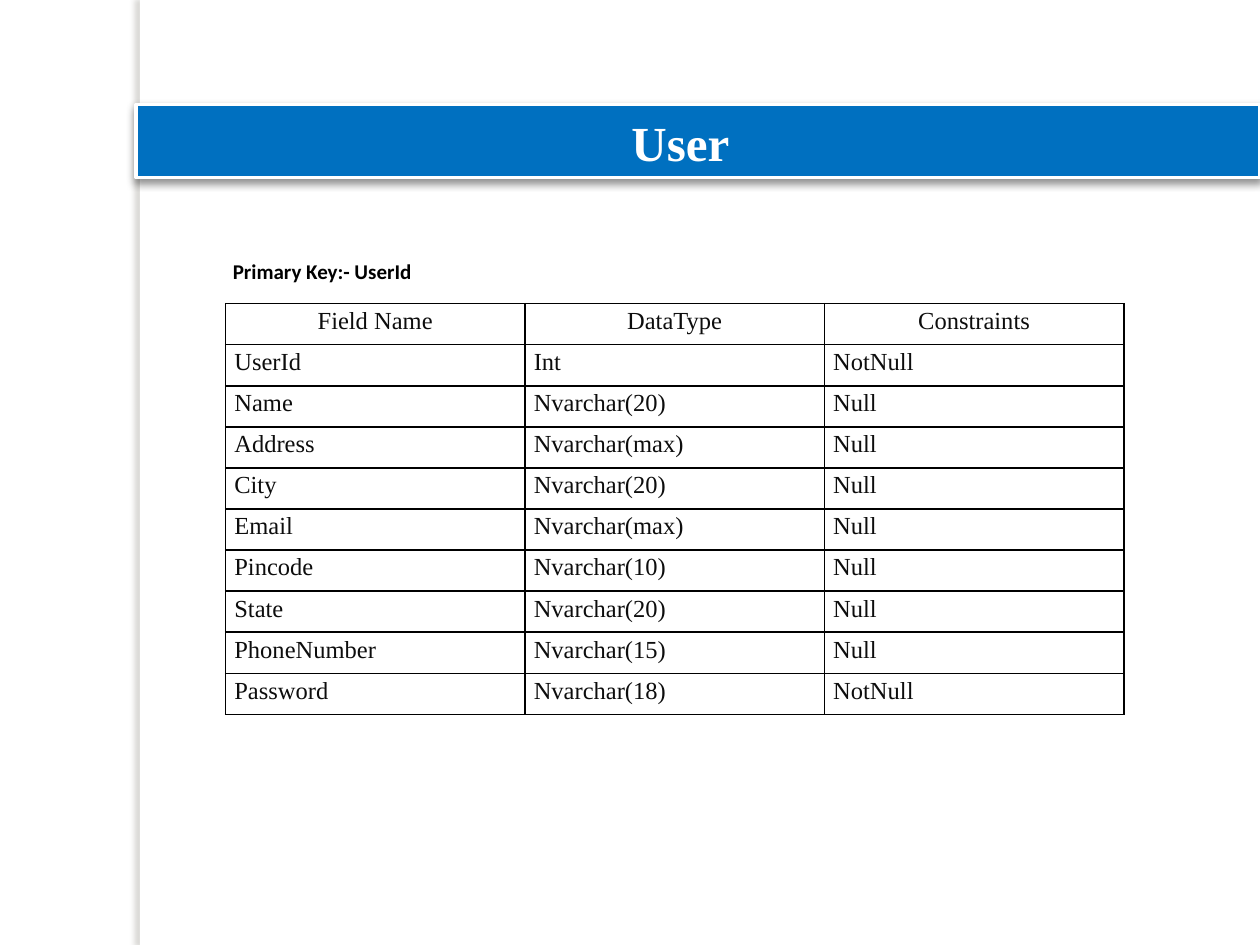
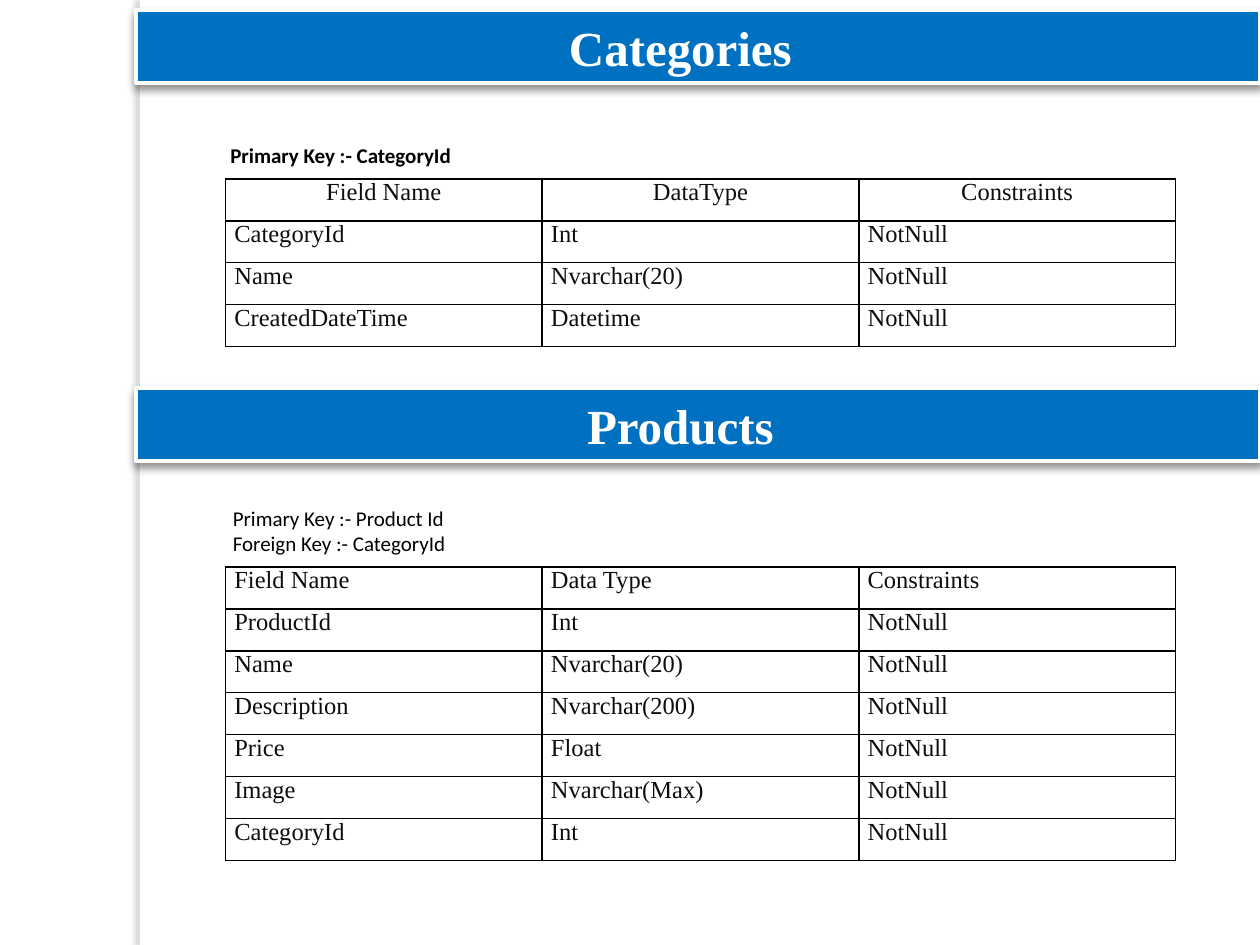
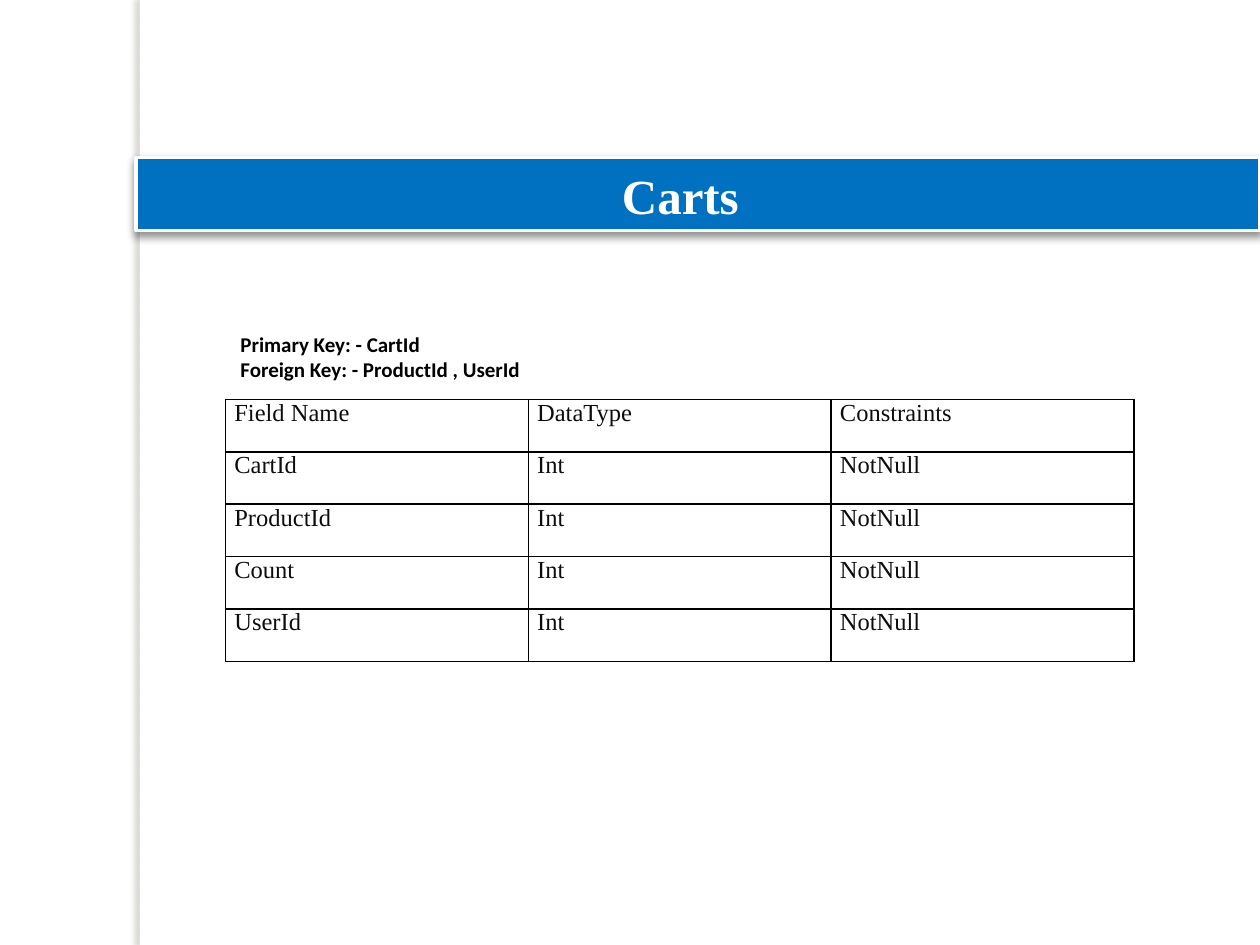
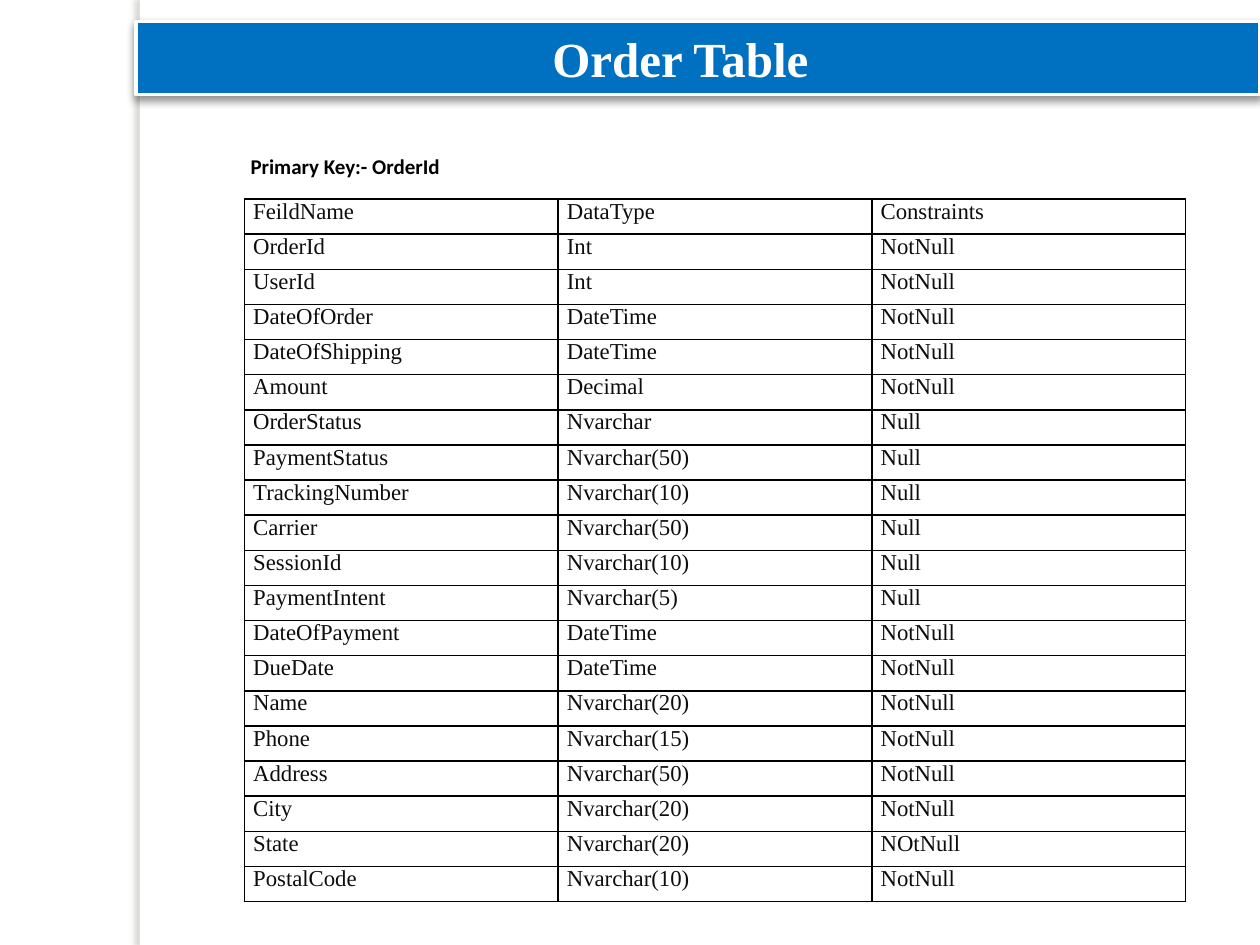
from lxml.etree import SubElement as Sub
from pptx import Presentation
from pptx.dml.color import RGBColor
from pptx.enum.shapes import MSO_SHAPE as Form
from pptx.enum.text import MSO_ANCHOR as Anchor, MSO_AUTO_SIZE as Fit, PP_ALIGN as Align
from pptx.oxml.ns import qn
from pptx.util import Inches, Pt

# Colours and fonts
WHITE = RGBColor(0xFF, 0xFF, 0xFF)
BLACK = RGBColor(0x00, 0x00, 0x00)
BLUE = RGBColor(0x00, 0x70, 0xC0)
INK = RGBColor(0x0D, 0x0D, 0x0D)
GREY = RGBColor(0x73, 0x6F, 0x63)
SERIF, SANS = "Times New Roman", "Calibri"

# Table contents: one row a line, cells split by commas
USER = """Field Name, DataType, Constraints
UserId, Int, NotNull
Name, Nvarchar(20), Null
Address, Nvarchar(max), Null
City, Nvarchar(20), Null
Email, Nvarchar(max), Null
Pincode, Nvarchar(10), Null
State, Nvarchar(20), Null
PhoneNumber, Nvarchar(15), Null
Password, Nvarchar(18), NotNull"""

GROUPS = """Field Name, DataType, Constraints
CategoryId, Int, NotNull
Name, Nvarchar(20), NotNull
CreatedDateTime, Datetime, NotNull"""

GOODS = """Field Name, Data Type, Constraints
ProductId, Int, NotNull
Name, Nvarchar(20), NotNull
Description, Nvarchar(200), NotNull
Price, Float, NotNull
Image, Nvarchar(Max), NotNull
CategoryId, Int, NotNull"""

CARTS = """Field Name, DataType, Constraints
CartId, Int, NotNull
ProductId, Int, NotNull
Count, Int, NotNull
UserId, Int, NotNull"""

ORDERS = """FeildName, DataType, Constraints
OrderId, Int, NotNull
UserId, Int, NotNull
DateOfOrder, DateTime, NotNull
DateOfShipping, DateTime, NotNull
Amount, Decimal, NotNull
OrderStatus, Nvarchar, Null
PaymentStatus, Nvarchar(50), Null
TrackingNumber, Nvarchar(10), Null
Carrier, Nvarchar(50), Null
SessionId, Nvarchar(10), Null
PaymentIntent, Nvarchar(5), Null
DateOfPayment, DateTime, NotNull
DueDate, DateTime, NotNull
Name, Nvarchar(20), NotNull
Phone, Nvarchar(15), NotNull
Address, Nvarchar(50), NotNull
City, Nvarchar(20), NotNull
State, Nvarchar(20), NOtNull
PostalCode, Nvarchar(10), NotNull"""


def write(frame, text, font=SERIF, size=14, color=INK, bold=False,
          align=Align.LEFT, lead=None, after=None):
    """Fill a text frame, one paragraph a line."""
    for i, line in enumerate(text.split("\n")):
        para = frame.add_paragraph() if i else frame.paragraphs[0]
        para.alignment = align
        if lead:
            para.line_spacing = lead
        if after:
            para.space_after = Pt(after)
        run = para.add_run()
        run.text = line
        run.font.name, run.font.size, run.font.bold = font, Pt(size), bold
        run.font.color.rgb = color


class Deck:
    def __init__(self):
        self.prs = Presentation()
        self.prs.slide_width, self.prs.slide_height = Inches(10), Inches(7.5)
        self.layout = self.prs.slide_layouts[5]
        self.slide = None

    def start(self):
        first = self.slide is None
        self.slide = self.prs.slides.add_slide(self.layout)
        if first:
            # The side rail lives on the layout, behind everything
            rail = self.rect(1.11, 0, 0.08, 7.5, WHITE, (GREY, 25, 3, 3, 180))
            self.layout.shapes.element.insert(2, rail.element)

    def rect(self, x, y, w, h, fill, shade, edge=None):
        box = self.slide.shapes.add_shape(
            Form.RECTANGLE, Inches(x), Inches(y), Inches(w), Inches(h))
        box.fill.solid()
        box.fill.fore_color.rgb = fill
        if edge:
            box.line.color.rgb, box.line.width = edge, Pt(2)
        else:
            box.line.fill.background()
        # Soft outer shadow
        box.shadow.inherit = False
        color, alpha, blur, dist, angle = shade
        glow = Sub(box.element.spPr.find(qn("a:effectLst")), qn("a:outerShdw"),
                   blurRad=str(Pt(blur)), dist=str(Pt(dist)),
                   dir=str(angle * 60000), algn="ctr", rotWithShape="0")
        tint = Sub(glow, qn("a:srgbClr"), val=str(color))
        Sub(tint, qn("a:alpha"), val=str(alpha * 1000))
        return box

    def label(self, box, text, **style):
        frame = box.text_frame
        frame.word_wrap = False
        frame.auto_size = Fit.SHAPE_TO_FIT_TEXT
        frame.vertical_anchor = Anchor.TOP
        write(frame, text, **style)

    def text_box(self, x, y, w, h):
        return self.slide.shapes.add_textbox(
            Inches(x), Inches(y), Inches(w), Inches(h))

    def band(self, text, y, w, main=True):
        """Blue band with a heading centred on it."""
        bar = self.rect(1.08, y, 8.92, 0.58, BLUE, (BLACK, 43, 5, 2, 90), WHITE)
        x, top, h = 5.4 - w / 2, y + 0.01, 0.57
        if main:
            head = self.slide.shapes.title
            head.left, head.top = Inches(x), Inches(top)
            head.width, head.height = Inches(w), Inches(h)
            bar.element.addnext(head.element)
        else:
            head = self.text_box(x, top, w, h)
        self.label(head, text, size=28, color=WHITE, bold=True,
                   align=Align.CENTER)

    def keys(self, text, x, y, w, h=0.5, bold=True):
        self.label(self.text_box(x, y, w, h), text, font=SANS, size=12,
                   color=BLACK, bold=bold)

    def table(self, data, x, y, w, h, head=Align.LEFT, body=Align.LEFT, **style):
        rows = [line.split(", ") for line in data.split("\n")]
        grid = self.slide.shapes.add_table(
            len(rows), len(rows[0]), Inches(x), Inches(y), Inches(w), Inches(h)).table
        grid.first_row = grid.horz_banding = False
        for r, row in enumerate(rows):
            for c, text in enumerate(row):
                cell = grid.cell(r, c)
                cell.margin_left = cell.margin_right = Inches(0.07)
                cell.margin_top = cell.margin_bottom = 0
                self.border(cell)
                cell.fill.background()
                write(cell.text_frame, text, align=body if r else head, **style)

    def border(self, cell):
        props = cell._tc.get_or_add_tcPr()
        for side in "LRTB":
            line = Sub(props, qn("a:ln" + side), w=str(Pt(1)))
            Sub(Sub(line, qn("a:solidFill")), qn("a:srgbClr"), val=str(BLACK))


def main():
    deck = Deck()

    # User
    deck.start()
    deck.table(USER, 1.79, 2.41, 7.13, 3.26, head=Align.CENTER, lead=1.15, after=10)
    deck.band("User", 0.83, 0.99)
    deck.keys("Primary Key:- UserId", 1.75, 2, 1.87)

    # Categories and products
    deck.start()
    deck.band("Categories", 0.08, 1.99)
    deck.band("Products", 3.08, 1.7, main=False)
    deck.table(GROUPS, 1.79, 1.42, 7.54, 1.33, head=Align.CENTER, body=Align.JUSTIFY)
    deck.table(GOODS, 1.79, 4.5, 7.54, 2.33)
    deck.keys("Primary Key :- Product Id\nForeign Key :- CategoryId",
              1.75, 3.96, 1.96, h=0.71, bold=False)
    deck.keys("Primary Key :- CategoryId", 1.73, 1.08, 2.27)

    # Carts
    deck.start()
    deck.band("Carts", 1.25, 1.14)
    deck.table(CARTS, 1.79, 3.17, 7.21, 2.08, head=Align.JUSTIFY, body=Align.JUSTIFY)
    deck.keys("Primary Key: - CartId\nForeign Key: - ProductId , UserId",
              1.81, 2.58, 2.75)

    # Orders
    deck.start()
    deck.band("Order Table", 0.17, 2.25)
    deck.table(ORDERS, 1.94, 1.58, 7.47, 5.58, size=13)
    deck.keys("Primary Key:- OrderId", 1.89, 1.17, 1.97)

    deck.prs.save("out.pptx")


if __name__ == "__main__":
    main()
